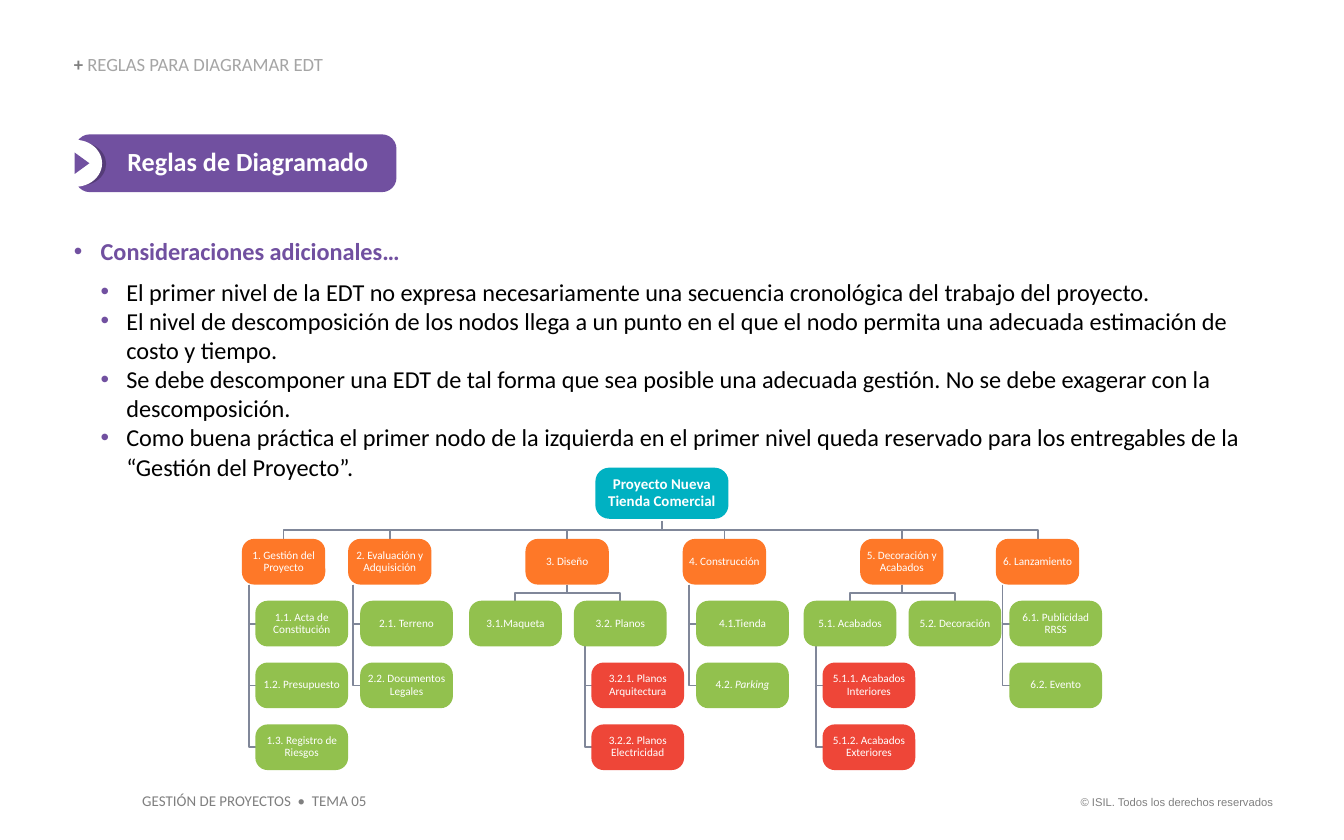
from lxml.etree import SubElement
from pptx import Presentation
from pptx.dml.color import RGBColor
from pptx.enum.shapes import MSO_SHAPE as SHAPE
from pptx.enum.text import MSO_ANCHOR as ANCHOR, PP_ALIGN as ALIGN
from pptx.oxml.ns import qn
from pptx.util import Inches, Pt

COLORS = {
    "purple": "7150A0", "dark_purple": "553C78", "white": "FFFFFF", "black": "000000",
    "gray": "7F7F7F", "light_gray": "A5A5A5", "line": "808799",
    "teal": "00B1C2", "orange": "FE7828", "green": "92C14E", "red": "EE4638",
}

# Content
COPYRIGHT = "© ISIL. Todos los derechos reservados"
COURSE = "GESTIÓN DE PROYECTOS  •  TEMA 05"
SECTION = ["+ ", "REGLAS PARA DIAGRAMAR EDT"]
TITLE = "Reglas de Diagramado"
HEADING = "Consideraciones adicionales…"
RULES = [
    "El primer nivel de la EDT no expresa necesariamente una secuencia cronológica del trabajo del proyecto.",
    "El nivel de descomposición de los nodos llega a un punto en el que el nodo permita una adecuada "
    "estimación de costo y tiempo.",
    "Se debe descomponer una EDT de tal forma que sea posible una adecuada gestión. No se debe exagerar "
    "con la descomposición.",
    "Como buena práctica el primer nodo de la izquierda en el primer nivel queda reservado para los "
    "entregables de la “Gestión del Proyecto”.",
]
# Work breakdown tree: (label, left edge, children); text after "|" is italic.
# Children sharing a left edge hang in a column, others spread in a row.
TREE = ("Proyecto Nueva Tienda Comercial", 4.43, [
    ("1. Gestión del Proyecto", 1.8, [
        ("1.1. Acta de Constitución", 1.9, []),
        ("1.2. Presupuesto", 1.9, []),
        ("1.3. Registro de Riesgos", 1.9, [])]),
    ("2. Evaluación y Adquisición", 2.59, [
        ("2.1. Terreno", 2.68, []),
        ("2.2. Documentos Legales", 2.68, [])]),
    ("3. Diseño", 3.91, [
        ("3.1.Maqueta", 3.49, []),
        ("3.2. Planos", 4.27, [
            ("3.2.1. Planos Arquitectura", 4.4, []),
            ("3.2.2. Planos Electricidad", 4.4, [])])]),
    ("4. Construcción", 5.08, [
        ("4.1.Tienda", 5.18, []),
        ("4.2. |Parking", 5.18, [])]),
    ("5. Decoración y Acabados", 6.4, [
        ("5.1. Acabados", 5.98, [
            ("5.1.1. Acabados Interiores", 6.12, []),
            ("5.1.2. Acabados Exteriores", 6.12, [])]),
        ("5.2. Decoración", 6.76, [])]),
    ("6. Lanzamiento", 7.41, [
        ("6.1. Publicidad RRSS", 7.51, []),
        ("6.2. Evento", 7.51, [])]),
])
# Per level: width, height, colour, text size, bold
LEVELS = [(0.99, 0.38, "teal", 8, True), (0.62, 0.34, "orange", 6, False),
          (0.69, 0.34, "green", 6, False), (0.69, 0.34, "red", 6, False)]
ROOT_TOP, FIRST_ROW, ROW_PITCH = 3.48, 4.01, 0.46

prs = Presentation()
prs.slide_width, prs.slide_height = Inches(10), Inches(6.25)
slide = prs.slides.add_slide(prs.slide_layouts[6])
shapes = slide.shapes


def rgb(name):
    return RGBColor.from_string(COLORS[name])


def style(font, size, color, bold=False, face="Calibri"):
    font.size, font.bold, font.name = Pt(size), bold, face
    font.color.rgb = rgb(color)


def set_frame(frame, margins, anchor):
    frame.word_wrap = True
    frame.vertical_anchor = anchor
    (frame.margin_left, frame.margin_top,
     frame.margin_right, frame.margin_bottom) = [Inches(m) for m in margins]


def add_text(box, margins=(0.1, 0.05, 0.1, 0.05), anchor=ANCHOR.TOP):
    frame = shapes.add_textbox(*[Inches(v) for v in box]).text_frame
    set_frame(frame, margins, anchor)
    return frame


def add_block(kind, box, color):
    block = shapes.add_shape(kind, *[Inches(v) for v in box])
    block.shadow.inherit = False
    block.fill.solid()
    block.fill.fore_color.rgb = rgb(color)
    block.line.fill.background()
    return block


def add_label(block, text, size, bold, margins):
    set_frame(block.text_frame, margins, ANCHOR.MIDDLE)
    paragraph = block.text_frame.paragraphs[0]
    paragraph.alignment, paragraph.line_spacing = ALIGN.CENTER, 0.9
    for i, part in enumerate(text.split("|")):
        run = paragraph.add_run()
        run.text = part
        style(run.font, size, "white", bold)
        run.font.italic = i > 0


def add_bullet(paragraph, left, hanging):
    props = paragraph._p.get_or_add_pPr()
    props.set("marL", str(Inches(left)))
    props.set("indent", str(-Inches(hanging)))
    SubElement(SubElement(props, qn("a:buClr")), qn("a:srgbClr"), val=COLORS["purple"])
    SubElement(props, qn("a:buFont"), typeface="Arial")
    SubElement(props, qn("a:buChar"), char="•")


def add_branch(points):
    points = [(Inches(x), Inches(y)) for x, y in points]
    builder = shapes.build_freeform(*points[0])
    builder.add_line_segments(points[1:], close=False)
    branch = builder.convert_to_shape()
    branch.shadow.inherit = False
    branch.fill.background()
    branch.line.color.rgb = rgb("line")
    branch.line.width = Pt(1)


def place(node, level, top, nodes, branches):
    """Collect the boxes and branches of a node and everything under it."""
    label, left, children = node
    width, height = LEVELS[level][:2]
    nodes.append((label, left, top, level))
    bottom, center = top + height, left + width / 2
    if level == 0:
        bottom += 0.02
    hangs = len({child[1] for child in children}) == 1
    next_top = FIRST_ROW if level == 0 else top + ROW_PITCH
    for i, child in enumerate(children):
        child_left = child[1]
        child_width, child_height = LEVELS[level + 1][:2]
        child_top = next_top + (i * ROW_PITCH if hangs else 0)
        if hangs:
            spine, middle = child_left - 0.05, child_top + child_height / 2
            branches.append([(spine, bottom), (spine, middle), (child_left + 0.05, middle)])
        else:
            middle, child_center = (bottom + child_top) / 2, child_left + child_width / 2
            branches.append([(center, bottom), (center, middle),
                             (child_center, middle), (child_center, child_top)])
        place(child, level + 1, child_top, nodes, branches)


# Footer
copyright_line = add_text((7.91, 5.87, 1.66, 0.2)).paragraphs[0]
copyright_line.text = COPYRIGHT
copyright_line.alignment = ALIGN.RIGHT
style(copyright_line.runs[0].font, 6, "gray", face="Arial")
course = add_text((0.96, 5.84, 1.9, 0.24)).paragraphs[0]
course.text = COURSE
style(course.runs[0].font, 8, "gray")

# Section header
section = add_text((0.55, 0.41, 2.66, 0.15), (0, 0, 0, 0), ANCHOR.BOTTOM).paragraphs[0]
section.line_spacing = 0.9
for part, color, bold in zip(SECTION, ("gray", "light_gray"), (True, False)):
    run = section.add_run()
    run.text = part
    style(run.font, 10, color, bold)

# Title banner
banner = add_block(SHAPE.ROUNDED_RECTANGLE, (0.56, 1, 2.39, 0.43), "purple")
banner.adjustments[0] = 0.25
add_label(banner, TITLE, 14, True, (0.28, 0.05, 0.1, 0.05))
add_block(SHAPE.OVAL, (0.42, 1.06, 0.37, 0.32), "dark_purple")
add_block(SHAPE.OVAL, (0.36, 1.04, 0.4, 0.35), "white")
add_block(SHAPE.ISOSCELES_TRIANGLE, (0.53, 1.16, 0.16, 0.11), "purple").rotation = 90

# Rules
rules = add_text((0.55, 1.76, 8.94, 2.05), (0, 0, 0, 0))
rules.text = "\n".join([HEADING] + RULES)
for i, paragraph in enumerate(rules.paragraphs):
    add_bullet(paragraph, *((0.39, 0.19) if i else (0.2, 0.2)))
    style(paragraph.runs[0].font, 13, "black" if i else "purple", i == 0)
rules.paragraphs[1].space_before = Pt(6)

# Work breakdown diagram
nodes, branches = [], []
place(TREE, 0, ROOT_TOP, nodes, branches)
for points in branches:
    add_branch(points)
for label, left, top, level in nodes:
    width, height, color, size, bold = LEVELS[level]
    box = add_block(SHAPE.ROUNDED_RECTANGLE, (left, top, width, height), color)
    box.adjustments[0] = 0.27
    add_label(box, label, size, bold, (0, 0.05, 0, 0.05))

prs.save("out.pptx")
